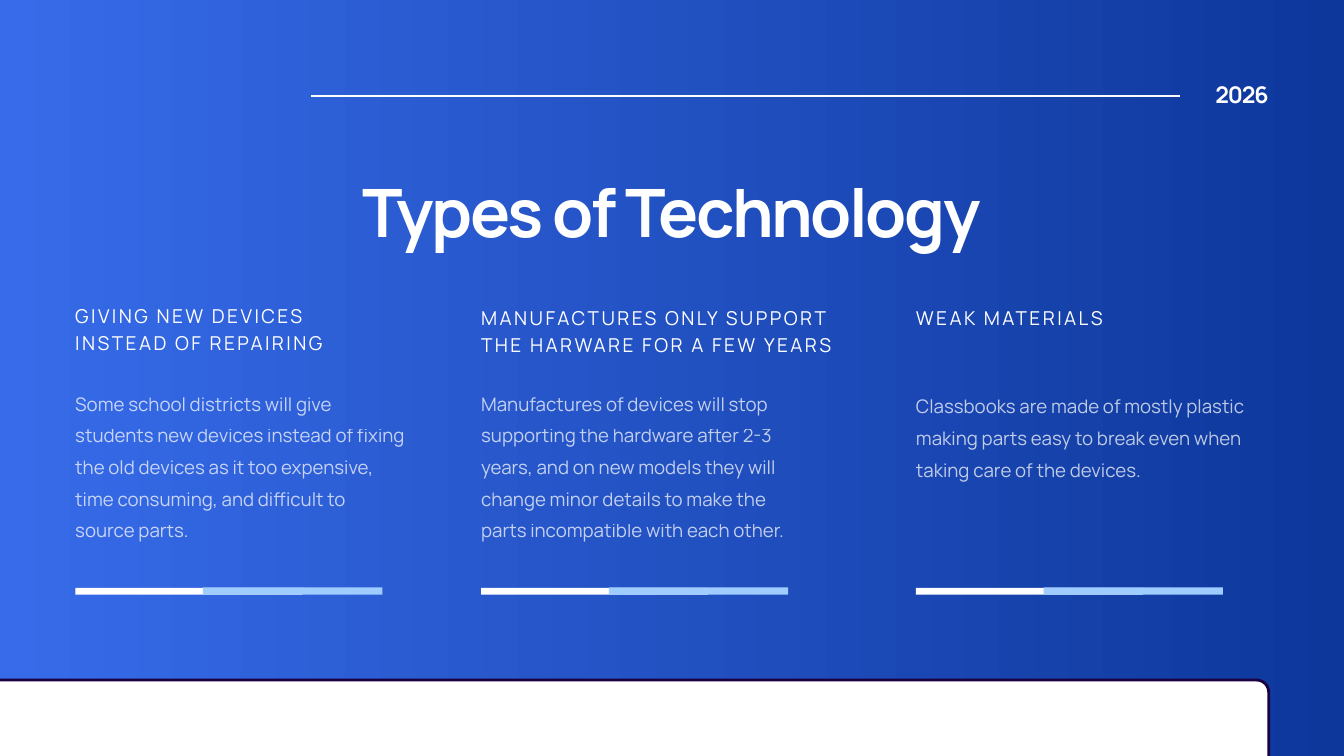
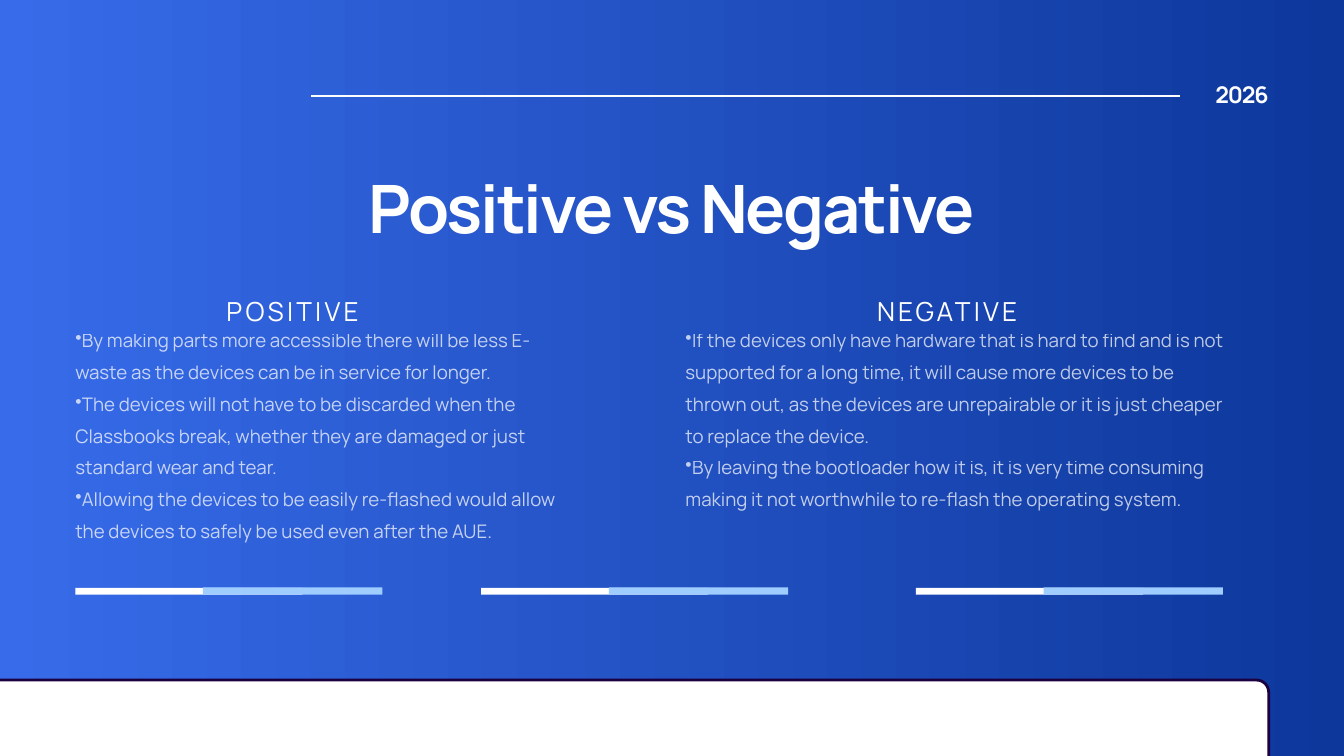
from lxml import etree
from pptx import Presentation
from pptx import util as u
from pptx.dml.color import RGBColor
from pptx.enum import shapes, text
from pptx.oxml.ns import qn

# Shared look
FONT = "Manrope"
WHITE, SKY, INK = "FFFFFF", "9FCDFF", "1C0140"
GRADIENT = ("376BE9", "0D379B")
WIDTH, HEIGHT = 20, 11.25
COLUMNS = (1.12, 7.16, 13.63)
RIGHT_EDGE = 18.88

# Text styles
TITLE = dict(size=71.5, line=85.1, spacing=-2.5, bold=True, align="CENTER")
YEAR = dict(size=24.6, line=23.6, spacing=-1.2, bold=True, align="RIGHT")
LABEL = dict(size=20.5, line=28.7, spacing=2.6)
SIDE_LABEL = dict(size=28.1, line=39.4, spacing=3.5, align="CENTER")
BODY = dict(size=20, line=34, opacity=72)

# Left column, heading top, heading width, body top, body width, heading, body
TYPES = [
    (4.47, 4.57, 5.7, 4.94, "GIVING NEW DEVICES INSTEAD OF REPAIRING",
     "Some school districts will give students new devices instead of fixing "
     "the old devices as it too expensive, time consuming, and difficult to "
     "source parts."),
    (4.5, 5.68, 5.7, 4.94,
     "MANUFACTURES ONLY SUPPORT THE HARWARE FOR A FEW YEARS",
     "Manufactures of devices will stop supporting the hardware after 2-3 "
     "years, and on new models they will change minor details to make the "
     "parts incompatible with each other."),
    (4.5, 5.11, 5.74, 5.11, "WEAK MATERIALS",
     "Classbooks are made of mostly plastic making parts easy to break even "
     "when taking care of the devices."),
]

# Heading left, body left, body width, heading, points
SIDES = [
    (0.65, 1.12, 7.49, "POSITIVE", [
        "By making parts more accessible there will be less E-waste as the "
        "devices can be in service for longer.",
        "The devices will not have to be discarded when the Classbooks break, "
        "whether they are damaged or just standard wear and tear.",
        "Allowing the devices to be easily re-flashed would allow the devices "
        "to safely be used even after the AUE."]),
    (10.39, 10.2, 8.21, "NEGATIVE", [
        "If the devices only have hardware that is hard to find and is not "
        "supported for a long time, it will cause more devices to be thrown "
        "out, as the devices are unrepairable or it is just cheaper to "
        "replace the device.",
        "By leaving the bootloader how it is, it is very time consuming "
        "making it not worthwhile to re-flash the operating system."]),
]


def color(hex_code):
    return RGBColor.from_string(hex_code)


def box(left, top, width, height):
    return [u.Inches(length) for length in (left, top, width, height)]


def add_bullet(paragraph):
    properties = paragraph._p.get_or_add_pPr()
    properties.set("marL", "0")
    properties.set("indent", "0")
    etree.SubElement(properties, qn("a:buChar")).set("char", "•")


def write(shape, lines, size, line, spacing=0, bold=False, align="LEFT",
          opacity=100, bullets=False):
    """Fill a shape's text frame with formatted paragraphs."""
    frame = shape.text_frame
    frame.word_wrap = True
    frame.auto_size = text.MSO_AUTO_SIZE.SHAPE_TO_FIT_TEXT
    frame.vertical_anchor = text.MSO_ANCHOR.TOP
    frame.margin_left = frame.margin_right = 0
    frame.margin_top = frame.margin_bottom = 0
    for index, words in enumerate(lines):
        paragraph = frame.add_paragraph() if index else frame.paragraphs[0]
        if bullets:
            add_bullet(paragraph)
        paragraph.alignment = getattr(text.PP_ALIGN, align)
        paragraph.line_spacing = u.Pt(line)
        paragraph.space_before = u.Pt(0)
        run = paragraph.add_run()
        run.text = words
        font = run.font
        font.name, font.size, font.bold = FONT, u.Pt(size), bold
        font.color.rgb = color(WHITE)
        properties = run._r.get_or_add_rPr()
        if spacing:
            properties.set("spc", str(round(spacing * 100)))
        if opacity < 100:
            tint = properties.find(".//" + qn("a:srgbClr"))
            etree.SubElement(tint, qn("a:alpha")).set("val", str(opacity * 1000))


def add_text(slide, place, *lines, **style):
    write(slide.shapes.add_textbox(*box(*place)), lines, **style)


def add_block(slide, kind, place, fill, outline=None):
    block = slide.shapes.add_shape(kind, *box(*place))
    block.shadow.inherit = False
    block.fill.solid()
    block.fill.fore_color.rgb = color(fill)
    if outline:
        block.line.color.rgb = color(outline)
        block.line.width = u.Pt(3)
    else:
        block.line.fill.background()
    return block


def add_rule(slide, left, right, y):
    rule = slide.shapes.add_connector(
        shapes.MSO_CONNECTOR.STRAIGHT,
        u.Inches(left), u.Inches(y), u.Inches(right), u.Inches(y))
    rule.line.color.rgb = color(WHITE)
    rule.line.width = u.Pt(3)
    etree.SubElement(rule._element.spPr, qn("a:effectLst"))


def add_frame(deck, title, title_top):
    """Start a slide with the background, header, bars and bottom panel."""
    slide = deck.slides.add_slide(deck.slide_layouts[5])
    backdrop = slide.background.fill
    backdrop.gradient()
    backdrop.gradient_angle = 0
    for stop, hex_code in zip(backdrop.gradient_stops, GRADIENT):
        stop.color.rgb = color(hex_code)

    # Header
    add_rule(slide, 4.63, 17.56, 1.43)
    add_text(slide, (RIGHT_EDGE - 0.93, 1.28, 0.93, 0.37), "2026", **YEAR)
    heading = slide.shapes.title
    heading.left, heading.top, heading.width, heading.height = box(
        3.68, title_top, WIDTH - 2 * 3.68, 1.25)
    write(heading, [title], **TITLE)

    # Bottom panel
    panel = add_block(slide, shapes.MSO_SHAPE.ROUNDED_RECTANGLE,
                      (-1.08, 10.12, RIGHT_EDGE + 1.08, 2.06), WHITE, INK)
    panel.adjustments[0] = 0.18 / 2.06

    # Two-tone bars
    for left in COLUMNS:
        add_block(slide, shapes.MSO_SHAPE.RECTANGLE,
                  (left, 8.75, 3.38, 0.1), WHITE)
        add_block(slide, shapes.MSO_SHAPE.RECTANGLE,
                  (left + 1.9, 8.74, 2.67, 0.11), SKY)
    return slide


def add_types(deck):
    slide = add_frame(deck, "Types of Technology", 2.55)
    for left, column in zip(COLUMNS, TYPES):
        label_top, label_width, body_top, body_width, label, body = column
        add_text(slide, (left, label_top, label_width, 0.8), label, **LABEL)
        add_text(slide, (left, body_top, body_width, 2.81), body, **BODY)


def add_sides(deck):
    slide = add_frame(deck, "Positive vs Negative", 2.49)
    for label_left, left, width, label, points in SIDES:
        add_text(slide, (label_left, 4.32, 7.41, 0.56), label, **SIDE_LABEL)
        add_text(slide, (left, 4.76, width, 3.75), *points, bullets=True, **BODY)


def main():
    deck = Presentation()
    deck.slide_width, deck.slide_height = u.Inches(WIDTH), u.Inches(HEIGHT)
    add_types(deck)
    add_sides(deck)
    deck.save("out.pptx")


if __name__ == "__main__":
    main()
